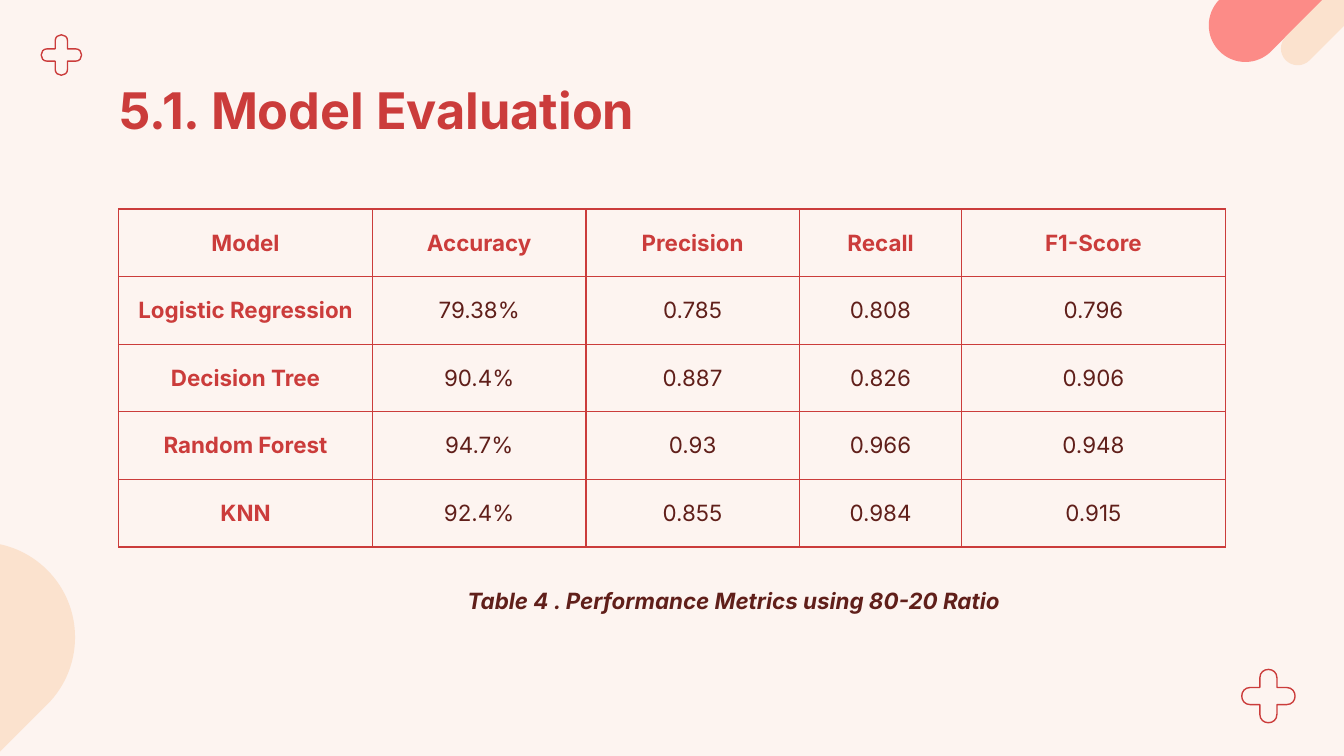
from math import cos, pi, sin, tan

from lxml.etree import SubElement
from pptx import Presentation
from pptx.dml.color import RGBColor
from pptx.enum.text import MSO_ANCHOR, MSO_AUTO_SIZE, PP_ALIGN
from pptx.oxml.ns import qn
from pptx.util import Pt

FONT = "Inter"
COLORS = {
    "page": "FDF4F0",
    "red": "CB3C3B",
    "dark": "601F1A",
    "coral": "FC8B87",
    "peach": "FBE2CE",
}
ROWS = [
    ("Model", "Accuracy", "Precision", "Recall", "F1-Score"),
    ("Logistic Regression", "79.38%", "0.785", "0.808", "0.796"),
    ("Decision Tree", "90.4%", "0.887", "0.826", "0.906"),
    ("Random Forest", "94.7%", "0.93", "0.966", "0.948"),
    ("KNN", "92.4%", "0.855", "0.984", "0.915"),
]
WIDTHS = [136.1, 114.3, 114.3, 87.1, 141.1]
ROW_HIGH = 36.2


def color(name):
    return RGBColor.from_string(COLORS[name])


def style(para, size, tint, bold=True, italic=False, align=PP_ALIGN.CENTER):
    para.alignment = align
    font = para.font
    font.name, font.size = FONT, Pt(size)
    font.bold, font.italic = bold, italic
    font.color.rgb = color(tint)


def pad(frame, inset):
    frame.margin_left = frame.margin_right = Pt(inset)
    frame.margin_top = frame.margin_bottom = Pt(inset)


def spin(x, y, along, side, turn):
    """Point at a distance along and beside an axis turned about x, y."""
    c, s = cos(turn), sin(turn)
    return x + along * c - side * s, y + along * s + side * c


def outline(slide, start, parts):
    """Closed shape; a part of one point is a line, of three a curve."""
    points = [(Pt(x), Pt(y)) for part in parts for x, y in part]
    pen = slide.shapes.build_freeform(Pt(start[0]), Pt(start[1]))
    pen.add_line_segments(points, close=True)
    shape = pen.convert_to_shape()
    shape.shadow.inherit = False
    lines = iter(list(shape._element.iter(qn("a:lnTo"))))
    for part in parts:
        first, *rest = [next(lines) for _ in part]
        if rest:
            curve = first.makeelement(qn("a:cubicBezTo"))
            first.addprevious(curve)
            for line in (first, *rest):
                curve.append(line[0])
                line.getparent().remove(line)
    return shape


def add_cross(slide, x, y, gap, reach, half):
    """Outlined plus sign with four round arms."""
    parts = []
    for i in range(4):
        turn = i * pi / 2
        if i:
            parts.append([spin(x, y, gap, -half, turn)])
        parts.append([spin(x, y, reach, -half, turn),
                      spin(x, y, reach, half, turn),
                      spin(x, y, gap, half, turn)])
        parts.append([spin(x, y, half, half, turn)])
    shape = outline(slide, spin(x, y, gap, -half, 0), parts)
    shape.fill.background()
    shape.line.color.rgb = color("red")
    shape.line.width = Pt(0.75)


def add_pill(slide, x, y, radius, length, turn, tint):
    """Band with a round end at x, y and a flat end at the given length."""
    angle = turn + pi / 2
    parts = []
    for sweep in (pi / 4, pi / 4, pi / 2):
        pull = radius * 4 / 3 * tan(sweep / 4)
        after = angle + sweep
        parts.append([spin(x, y, radius, pull, angle),
                      spin(x, y, radius, -pull, after),
                      spin(x, y, radius, 0, after)])
        angle = after
    parts += [[spin(x, y, length, side, turn)] for side in (-radius, radius)]
    shape = outline(slide, spin(x, y, 0, radius, turn), parts)
    shape.fill.solid()
    shape.fill.fore_color.rgb = color(tint)
    shape.line.fill.background()


def add_title(slide, text):
    title = slide.shapes.title
    title.left, title.top = Pt(56.9), Pt(35.3)
    title.width, title.height = Pt(607), Pt(45.4)
    frame = title.text_frame
    frame.text = text
    frame.auto_size = MSO_AUTO_SIZE.NONE
    frame.vertical_anchor = MSO_ANCHOR.TOP
    pad(frame, 7.2)
    style(frame.paragraphs[0], 27, "red", align=PP_ALIGN.LEFT)


def add_caption(slide, text):
    box = slide.shapes.add_textbox(Pt(234.1), Pt(305.3), Pt(318.2), Pt(28.8))
    frame = box.text_frame
    frame.text = text
    frame.word_wrap = True
    pad(frame, 7.2)
    para = frame.paragraphs[0]
    para.line_spacing = 1.15
    style(para, 12, "dark", italic=True)


def add_border(cell):
    props = cell._tc.get_or_add_tcPr()
    for side in ("lnL", "lnR", "lnT", "lnB"):
        line = SubElement(props, qn(f"a:{side}"), w=str(Pt(0.75)))
        fill = SubElement(line, qn("a:solidFill"))
        SubElement(fill, qn("a:srgbClr"), val=COLORS["red"])


def add_grid(slide):
    table = slide.shapes.add_table(
        len(ROWS), len(WIDTHS), Pt(63.5), Pt(112),
        Pt(sum(WIDTHS)), Pt(ROW_HIGH * len(ROWS)),
    ).table
    table.first_row = table.horz_banding = False
    for col, width in zip(table.columns, WIDTHS):
        col.width = Pt(width)
    for r, row in enumerate(ROWS):
        table.rows[r].height = Pt(ROW_HIGH)
        for c, text in enumerate(row):
            cell = table.cell(r, c)
            cell.text = text
            cell.vertical_anchor = MSO_ANCHOR.MIDDLE
            pad(cell, 3.6)
            add_border(cell)
            cell.fill.background()
            head = r == 0 or c == 0
            style(cell.text_frame.paragraphs[0], 12,
                  "red" if head else "dark", bold=head)


def main():
    deck = Presentation()
    deck.slide_width, deck.slide_height = Pt(720), Pt(405)
    slide = deck.slides.add_slide(deck.slide_layouts[5])
    slide.background.fill.solid()
    slide.background.fill.fore_color.rgb = color("page")

    add_cross(slide, 32.9, 29.5, 7.6, 11.9, 3.3)
    add_cross(slide, 679.5, 372.9, 9.7, 15.8, 4.6)
    add_pill(slide, 667.2, 13.6, 19.6, 143.5, -pi / 4, "coral")
    add_pill(slide, 695.2, 26, 9, 65.2, -pi / 4, "peach")
    add_pill(slide, -10.8, 341.4, 51, 63.1, 3 * pi / 4, "peach")
    add_title(slide, "5.1. Model Evaluation")
    add_caption(slide, "Table 4 . Performance Metrics using 80-20 Ratio")
    add_grid(slide)
    deck.save("out.pptx")


if __name__ == "__main__":
    main()
